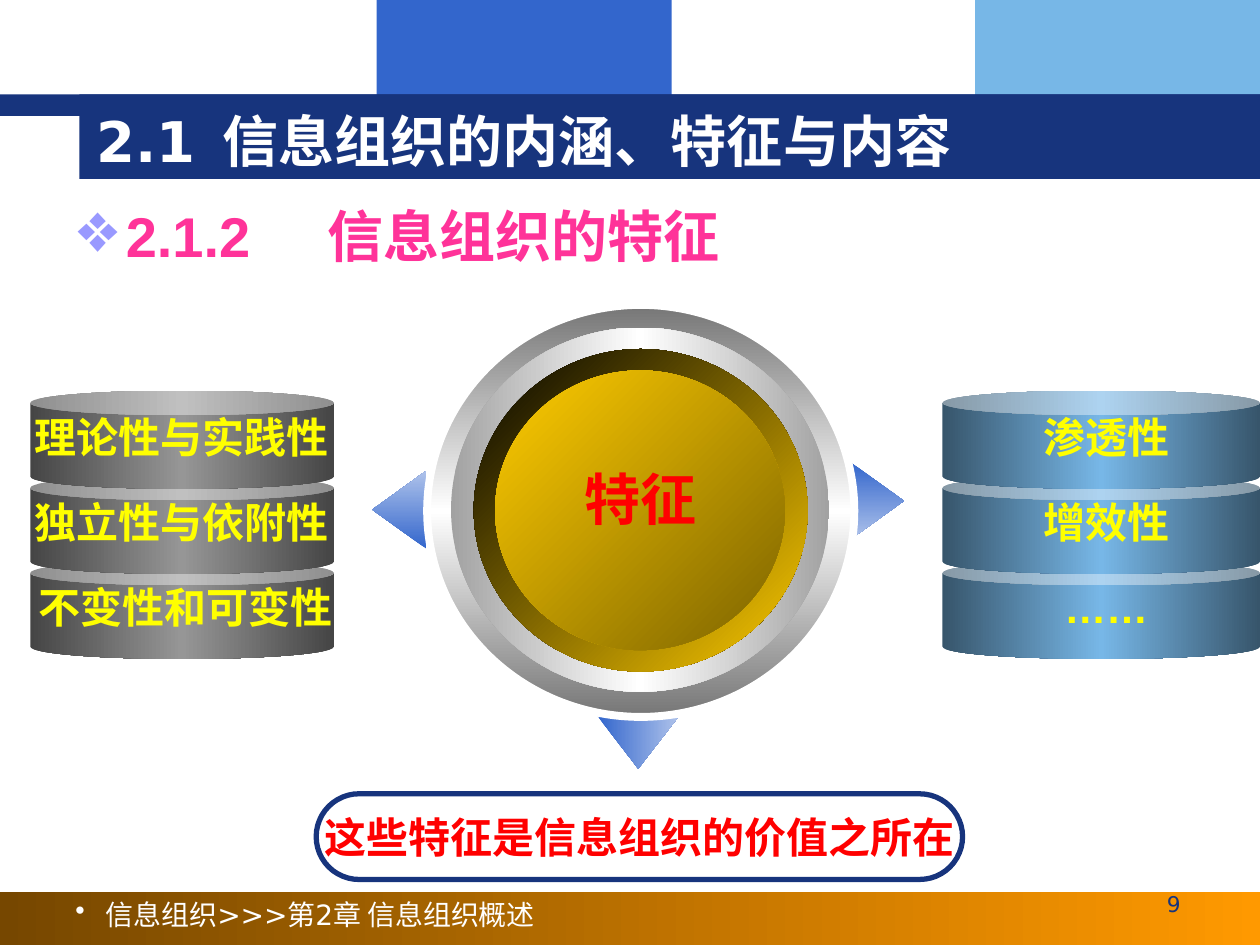
from lxml.etree import SubElement
from pptx import Presentation
from pptx.dml.color import RGBColor
from pptx.enum.shapes import MSO_SHAPE
from pptx.enum.text import MSO_ANCHOR, MSO_AUTO_SIZE, PP_ALIGN
from pptx.oxml import parse_xml
from pptx.oxml.ns import nsdecls, qn
from pptx.util import Inches, Pt

COLORS = {
    "navy": "17347D", "blue": "3366CC", "pale": "AFC3EB", "sky": "77B7E7",
    "steel": "37556B", "white": "FFFFFF", "black": "000000", "brown": "764700",
    "orange": "FF9900", "gray": "767676", "silver": "A2A2A2", "dark": "454545",
    "mid": "969696", "gold": "FFCC00", "olive": "7C6300", "red": "FF0000",
    "yellow": "FFFF00", "pink": "FF3399", "lilac": "9999FF",
}


def rgb(name):
    return RGBColor.from_string(COLORS[name])


def add_gradient(sp, names, angle, rotate=1):
    """Fill with evenly spaced colour stops; angle runs clockwise."""
    step = 100000 // (len(names) - 1)
    stops = "".join(
        f'<a:gs pos="{i * step}"><a:srgbClr val="{COLORS[n]}"/></a:gs>'
        for i, n in enumerate(names))
    sp.fill.background()
    old = sp._element.spPr.find(qn("a:noFill"))
    old.getparent().replace(old, parse_xml(
        f'<a:gradFill {nsdecls("a")} rotWithShape="{rotate}"><a:gsLst>{stops}</a:gsLst>'
        f'<a:lin ang="{angle * 60000}" scaled="0"/></a:gradFill>'))


def add_figure(s, kind, box, fill=None, line=None, adj=()):
    sp = s.shapes.add_shape(kind, *map(Inches, box))
    sp.shadow.inherit = False
    for i, value in enumerate(adj):
        sp.adjustments[i] = value
    if fill:
        sp.fill.solid()
        sp.fill.fore_color.rgb = rgb(fill)
    if line:
        sp.line.color.rgb = rgb(line[0])
        sp.line.width = Pt(line[1])
    else:
        sp.line.fill.background()
    return sp


def write(sp, text, size, color, font="Arial", bold=True, align=PP_ALIGN.CENTER,
          anchor=MSO_ANCHOR.TOP, wrap=False, fit=MSO_AUTO_SIZE.NONE):
    tf = sp.text_frame
    tf.word_wrap, tf.vertical_anchor, tf.auto_size = wrap, anchor, fit
    p = tf.paragraphs[0]
    p.alignment = align
    r = p.add_run()
    r.text = text
    for key, value in {"size": Pt(size), "name": font, "bold": bold}.items():
        setattr(r.font, key, value)
    r.font.color.rgb = rgb(color)
    return p


def add_text(s, box, text, size, color, **style):
    return write(s.shapes.add_textbox(*map(Inches, box)), text, size, color, **style)


def add_bullet(p, char, color, indent, percent=100):
    pPr = p._p.get_or_add_pPr()
    pPr.set("marL", str(Inches(indent)))
    pPr.set("indent", str(-Inches(indent)))
    clr = SubElement(pPr, qn("a:buClr"))
    SubElement(clr, qn("a:srgbClr")).set("val", COLORS[color])
    SubElement(pPr, qn("a:buSzPct")).set("val", str(percent * 1000))
    SubElement(pPr, qn("a:buChar")).set("char", char)


def add_tab(p, pos):
    tabs = SubElement(p._p.get_or_add_pPr(), qn("a:tabLst"))
    tab = SubElement(tabs, qn("a:tab"))
    tab.set("pos", str(Inches(pos)))
    tab.set("algn", "l")


def add_arrow(s, box, rotation):
    sp = add_figure(s, MSO_SHAPE.UP_ARROW, box, adj=(0.52, 1))
    add_gradient(sp, ["blue", "pale"], rotation, rotate=0)
    sp.rotation = rotation
    sp._element.spPr.find(qn("a:xfrm")).set("flipH", "1")


def add_disc(s, box, names, angle, line=None):
    add_gradient(add_figure(s, MSO_SHAPE.OVAL, box, line=line), names, angle)


def add_stack(s, left, width, names, center, labels):
    """Cans piled from the bottom up, then one label on each."""
    pitch = 0.675
    for row in reversed(range(len(labels))):
        can = add_figure(s, MSO_SHAPE.CAN, (left, 3.1 + row * pitch, width, 0.78), adj=(0.25,))
        add_gradient(can, names, 0)
    for row, (label, label_width) in enumerate(labels):
        add_text(s, (center - label_width / 2, 3.22 + row * pitch, label_width, 0.5),
                 label, 24, "yellow", fit=MSO_AUTO_SIZE.SHAPE_TO_FIT_TEXT)


def add_frame(s):
    for box, fill in [((2.99, 0, 2.34, 0.92), "blue"), ((7.74, 0, 2.26, 0.92), "sky"),
                      ((0, 0.75, 10, 0.17), "navy"), ((0.63, 0.75, 9.37, 0.67), "navy")]:
        add_figure(s, MSO_SHAPE.RECTANGLE, box, fill)
    footer = add_figure(s, MSO_SHAPE.RECTANGLE, (0, 7.08, 10, 0.42))
    add_gradient(footer, ["brown", "orange"], 0)


def add_headings(s):
    plain = {"font": "DejaVu Sans", "bold": False, "wrap": True}
    p = add_text(s, (0.5, 7.07, 4.42, 0.35), "信息组织>>>第2章 信息组织概述", 16, "white",
                 align=PP_ALIGN.LEFT, **plain)
    add_bullet(p, "•", "white", 0.24)
    p = add_text(s, (8.94, 7.06, 0.75, 0.35), "9", 12.4, "navy", **plain)
    p.line_spacing = 0.8
    p = add_text(s, (0.67, 0.8, 8.66, 0.62), "2.1\t信息组织的内涵、特征与内容", 32, "white",
                 font="DejaVu Sans", align=PP_ALIGN.LEFT, anchor=MSO_ANCHOR.MIDDLE, wrap=True)
    add_tab(p, 1)
    p = add_text(s, (0.52, 1.55, 9, 5.34), "2.1.2\t信息组织的特征", 32, "pink",
                 align=PP_ALIGN.LEFT, wrap=True)
    p.space_before = Pt(8)
    add_bullet(p, "❖", "lilac", 0.38, 125)
    add_tab(p, 1.98)


def main():
    prs = Presentation()
    prs.slide_width, prs.slide_height = Inches(10), Inches(7.5)
    s = prs.slides.add_slide(prs.slide_layouts[6])
    add_frame(s)
    add_headings(s)

    # Arrows around the dial
    add_arrow(s, (2.86, 3.83, 0.62, 0.43), 270)
    add_arrow(s, (6.65, 3.76, 0.62, 0.43), 90)
    add_arrow(s, (4.74, 5.68, 0.65, 0.42), 180)

    # Dial, from the outer ring to the face
    add_disc(s, (3.39, 2.42, 3.39, 3.27), ["gray", "white", "gray"], 90, ("white", 4.5))
    add_disc(s, (3.58, 2.6, 3, 2.89), ["silver", "white", "silver"], 0)
    add_disc(s, (3.76, 2.77, 2.65, 2.56), ["black", "gold"], 45)
    add_disc(s, (3.93, 2.94, 2.3, 2.22), ["gold", "olive"], 45)
    add_text(s, (4.54, 3.64, 1.09, 0.64), "特征", 32, "red")

    # Stacks on both sides
    add_stack(s, 0.24, 2.41, ["dark", "mid", "dark"], 1.475,
              [("理论性与实践性 ", 2.61), ("独立性与依附性 ", 2.61), ("不变性和可变性", 2.53)])
    add_stack(s, 7.48, 2.52, ["steel", "sky", "steel"], 8.78,
              [("渗透性 ", 1.27), ("增效性 ", 1.27), ("……", 1)])

    # Conclusion
    box = add_figure(s, MSO_SHAPE.ROUNDED_RECTANGLE, (2.51, 6.3, 5.13, 0.68), "white",
                     ("navy", 3), (0.5,))
    write(box, "这些特征是信息组织的价值之所在", 24, "red", font="DejaVu Sans",
          anchor=MSO_ANCHOR.MIDDLE)
    prs.save("out.pptx")


if __name__ == "__main__":
    main()
